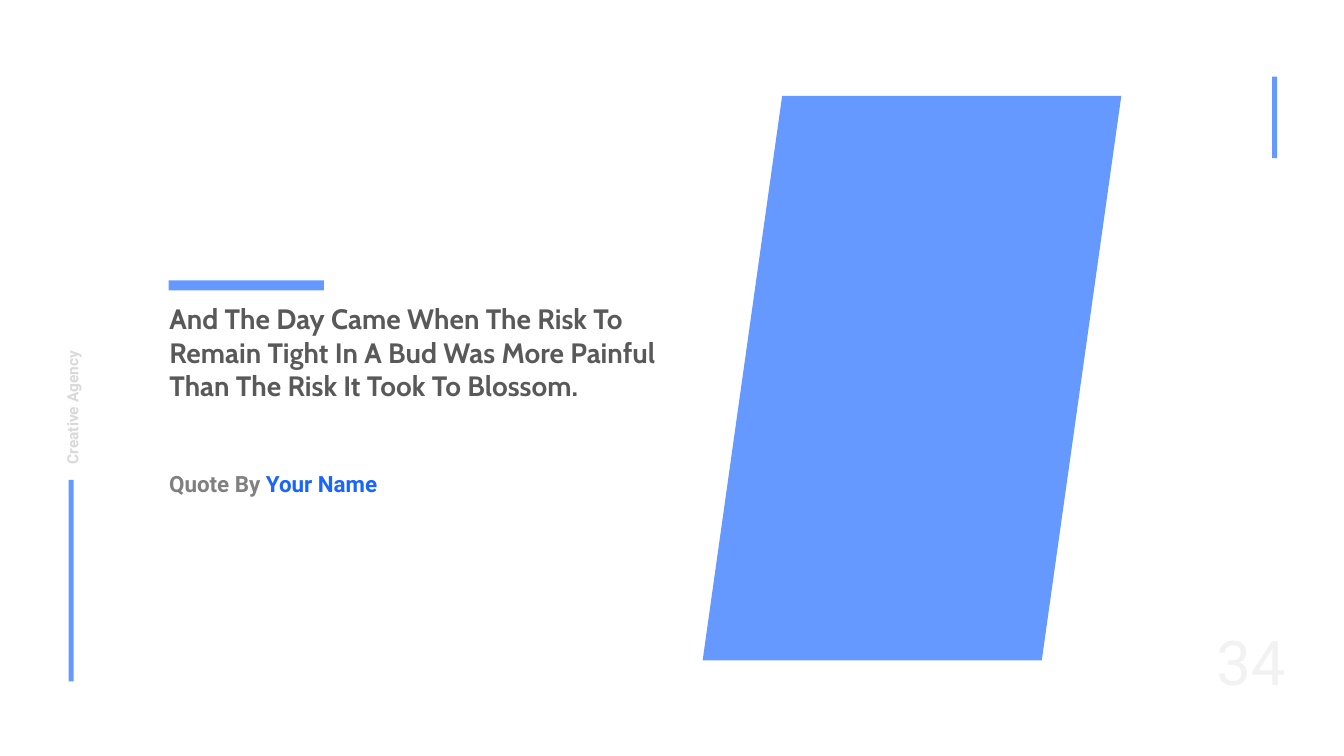
from dataclasses import dataclass

from pptx import Presentation
from pptx.dml.color import RGBColor
from pptx.enum.shapes import MSO_SHAPE
from pptx.enum.text import MSO_ANCHOR, MSO_AUTO_SIZE, PP_ALIGN
from pptx.util import Inches, Pt

SLIDE_WIDTH, SLIDE_HEIGHT = Inches(13.33), Inches(7.5)


@dataclass(frozen=True)
class Theme:
    accent: str = "6699FF"
    strong_accent: str = "1966FF"
    quote: str = "595959"
    author: str = "808080"
    tagline: str = "D9D9D9"
    number: str = "F2F2F2"
    heading_font: str = "Cabin"
    body_font: str = "Roboto"
    tagline_size: int = 11
    author_size: int = 16
    quote_size: int = 20
    number_size: int = 44


@dataclass(frozen=True)
class Box:
    """A region in columns and rows, each one hundredth of the slide."""
    left: float
    top: float
    width: float
    height: float

    def inner(self, left, top, width, height):
        return Box(self.left + left, self.top + top, width, height)

    def lengths(self):
        column, row = SLIDE_WIDTH / 100, SLIDE_HEIGHT / 100
        return (round(self.left * column), round(self.top * row),
                round(self.width * column), round(self.height * row))


THEME = Theme()


def add_block(slide, box, preset=MSO_SHAPE.RECTANGLE):
    shape = slide.shapes.add_shape(preset, *box.lengths())
    shape.shadow.inherit = False
    shape.fill.solid()
    shape.fill.fore_color.rgb = RGBColor.from_string(THEME.accent)
    shape.line.fill.background()
    return shape


def style_font(font, name, size, color, bold=True):
    font.name, font.size, font.bold = name, Pt(size), bold
    font.color.rgb = RGBColor.from_string(color)


def add_text(slide, box, text, size, color, bold=True):
    shape = slide.shapes.add_textbox(*box.lengths())
    shape.text_frame.word_wrap = True
    paragraph = shape.text_frame.paragraphs[0]
    paragraph.add_run().text = text
    style_font(paragraph.font, THEME.body_font, size, color, bold)
    return shape


def space_out(paragraph):
    paragraph.line_spacing = 1.5
    paragraph.space_before = paragraph.space_after = Pt(18)


def add_picture_panel(slide, box):
    add_block(slide, box, MSO_SHAPE.PARALLELOGRAM).adjustments[0] = 0.19


def add_tagline_rail(slide, box):
    """Vertical bar with the tagline reading upwards above it."""
    add_block(slide, box.inner(0, 13.2, box.width, 26.67))
    tagline = add_text(slide, box.inner(-5.85, 0, 11.4, 4.67), "Creative Agency",
                       THEME.tagline_size, THEME.tagline)
    tagline.rotation = 270
    paragraph = tagline.text_frame.paragraphs[0]
    paragraph.alignment = PP_ALIGN.JUSTIFY
    space_out(paragraph)


def add_quote(slide, box):
    add_block(slide, box.inner(0.7, 0, 11.55, 1.33))

    title = slide.shapes.title
    title.left, title.top, title.width, title.height = box.inner(
        0, 2.13, box.width, 14.8).lengths()
    frame = title.text_frame
    frame.text = ("And The Day Came When The Risk To Remain Tight In A Bud "
                  "Was More Painful Than The Risk It Took To Blossom.")
    frame.word_wrap = True
    frame.auto_size = MSO_AUTO_SIZE.NONE
    frame.vertical_anchor = MSO_ANCHOR.TOP
    paragraph = frame.paragraphs[0]
    paragraph.alignment = PP_ALIGN.LEFT
    style_font(paragraph.font, THEME.heading_font, THEME.quote_size, THEME.quote)

    author = add_text(slide, box.inner(0, 22.67, 18.23, 6.13), "Quote By ",
                      THEME.author_size, THEME.author)
    paragraph = author.text_frame.paragraphs[0]
    space_out(paragraph)
    name = paragraph.add_run()
    name.text = "Your Name"
    name.font.color.rgb = RGBColor.from_string(THEME.strong_accent)


def add_page_number(slide, box):
    number = add_text(slide, box, "34", THEME.number_size, THEME.number, bold=False)
    number.text_frame.vertical_anchor = MSO_ANCHOR.MIDDLE
    number.text_frame.paragraphs[0].alignment = PP_ALIGN.CENTER


def main():
    presentation = Presentation()
    presentation.slide_width, presentation.slide_height = SLIDE_WIDTH, SLIDE_HEIGHT
    slide = presentation.slides.add_slide(presentation.slide_layouts[5])
    add_picture_panel(slide, Box(52.28, 12.67, 31.15, 74.67))
    add_tagline_rail(slide, Box(5.1, 50.27, 0.38, 39.87))
    add_block(slide, Box(94.65, 10.13, 0.38, 10.8))
    add_quote(slide, Box(11.85, 37.07, 40.05, 28.8))
    add_page_number(slide, Box(88.95, 82.13, 8.25, 10.67))
    presentation.save("out.pptx")


if __name__ == "__main__":
    main()
